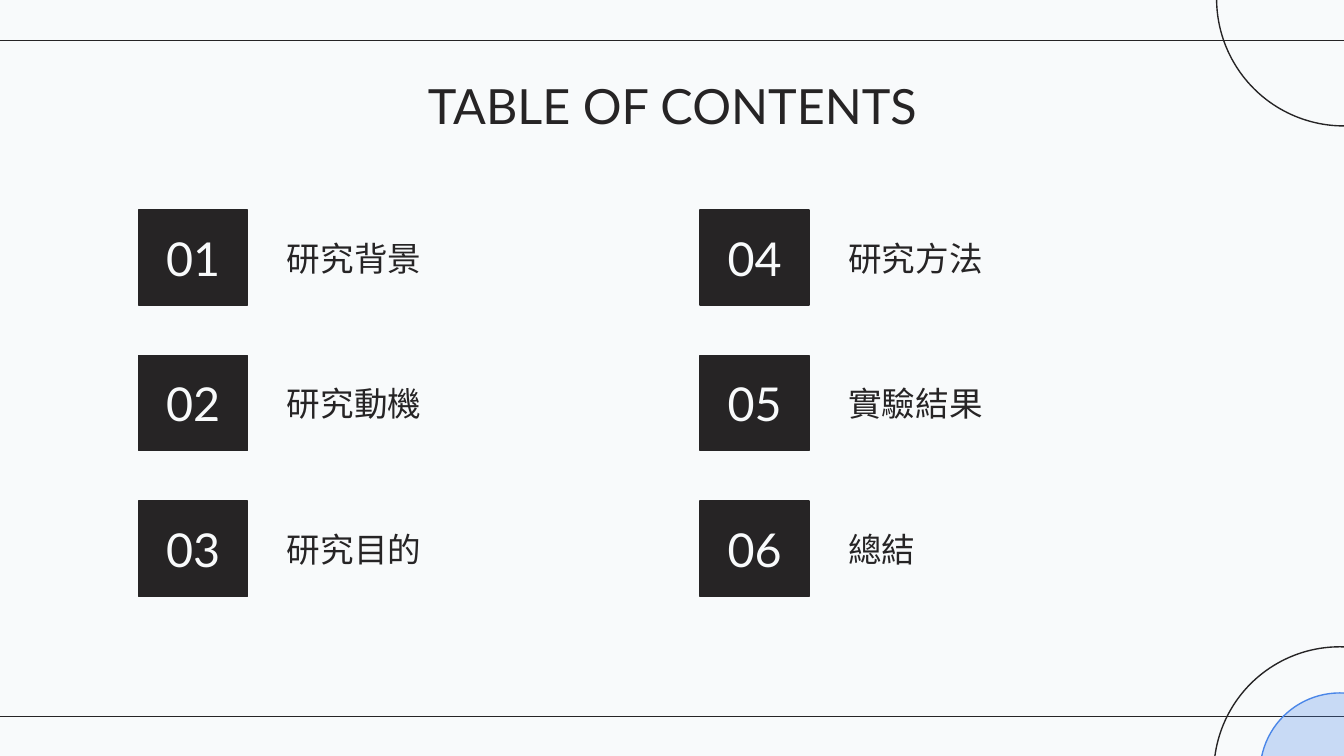
import lxml.etree
import pptx
import pptx.dml.color
import pptx.enum.shapes
import pptx.enum.text
import pptx.oxml.ns
import pptx.util

SCALE = 9525
DARK = "262425"
LIGHT = "F8FAFB"
BLUE = "4A86E8"
LATIN = "Lato"
HAN = "Noto Sans CJK TC"
ALIGN = pptx.enum.text.PP_ALIGN
SHAPE = pptx.enum.shapes.MSO_SHAPE


def px(*nums):
    return [pptx.util.Emu(num * SCALE) for num in nums]


def color(code):
    return pptx.dml.color.RGBColor.from_string(code)


def child(node, tag, **attrs):
    return lxml.etree.SubElement(node, pptx.oxml.ns.qn(tag), **attrs)


def write(shape, text, size=18, font=LATIN, ink=DARK, align=ALIGN.LEFT):
    frame = shape.text_frame
    frame.word_wrap = True
    frame.auto_size = pptx.enum.text.MSO_AUTO_SIZE.NONE
    frame.vertical_anchor = pptx.enum.text.MSO_ANCHOR.MIDDLE
    inset, = px(10)
    frame.margin_left = frame.margin_right = inset
    frame.margin_top = frame.margin_bottom = inset
    para = frame.paragraphs[0]
    para.alignment = align
    run = para.add_run()
    run.text = text
    run.font.size = pptx.util.Pt(size)
    run.font.color.rgb = color(ink)
    run.font.name = font
    child(run.font._element, "a:ea", typeface=font)


class Deck:
    def __init__(self, wide, high):
        self.show = pptx.Presentation()
        self.show.slide_width, self.show.slide_height = px(wide, high)
        self.weight = pptx.util.Pt(0.75)
        self.slide = self.show.slides.add_slide(self.show.slide_layouts[5])
        fill = self.slide.background.fill
        fill.solid()
        fill.fore_color.rgb = color(LIGHT)

    def title(self, text, left, top, wide, high):
        box = self.slide.shapes.title
        box.left, box.top, box.width, box.height = px(left, top, wide, high)
        write(box, text, size=26, align=ALIGN.CENTER)

    def shape(self, kind, left, top, wide, high, fill=None, line=DARK, alpha=None):
        item = self.slide.shapes.add_shape(kind, *px(left, top, wide, high))
        item.shadow.inherit = False
        item.line.color.rgb = color(line)
        item.line.width = self.weight
        if fill is None:
            item.fill.background()
        else:
            item.fill.solid()
            item.fill.fore_color.rgb = color(fill)
        if alpha is not None:
            tint = item.fill._xPr.find(".//" + pptx.oxml.ns.qn("a:srgbClr"))
            child(tint, "a:alpha", val=str(alpha * 1000))
        return item

    def rule(self, top):
        line = self.slide.shapes.add_connector(
            pptx.enum.shapes.MSO_CONNECTOR.STRAIGHT, *px(962, top, -2, top))
        line.line.color.rgb = color(DARK)
        line.line.width = self.weight
        child(line._element.spPr, "a:effectLst")

    def label(self, text, left, top, wide, high):
        box = self.slide.shapes.add_textbox(*px(left, top, wide, high))
        write(box, text, font=HAN)

    def entry(self, index, text):
        col, row = divmod(index, 3)
        left, top = 99 + col * 401, 150 + row * 104
        box = self.shape(SHAPE.RECTANGLE, left, top, 78, 68, fill=DARK)
        write(box, f"{index + 1:02}", size=25, ink=LIGHT, align=ALIGN.CENTER)
        self.label(text, left + 96, top, 288, 68)


def main():
    deck = Deck(960, 540)
    for top in (29, 512):
        deck.rule(top)
    deck.shape(SHAPE.OVAL, 867, 462, 180, 180)
    deck.shape(SHAPE.OVAL, 900, 495, 114, 114, fill=BLUE, line=BLUE, alpha=27)
    deck.shape(SHAPE.OVAL, 869, -92, 182, 182)
    deck.title("TABLE OF CONTENTS", 76, 43, 809, 64)
    topics = ["研究背景", "研究動機", "研究目的", "研究方法", "實驗結果", "總結"]
    for index, topic in enumerate(topics):
        deck.entry(index, topic)
    deck.show.save("out.pptx")


if __name__ == "__main__":
    main()
